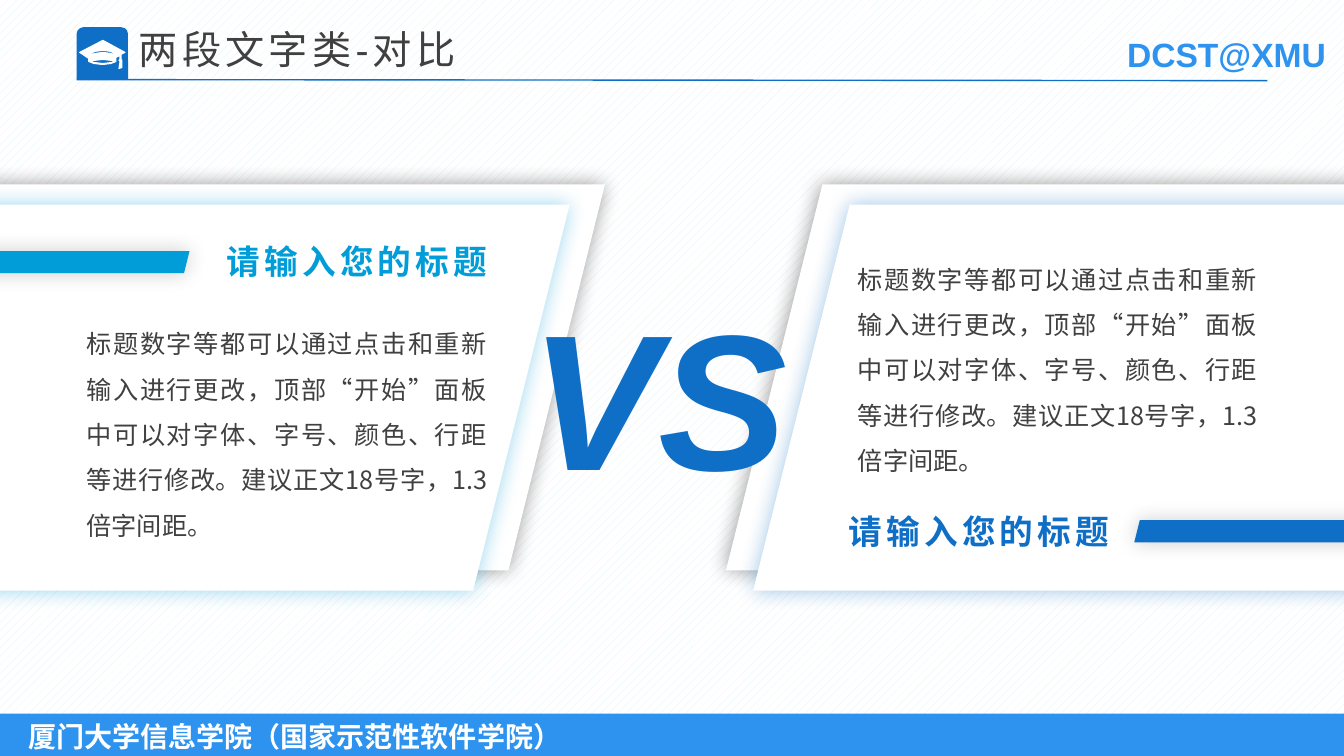
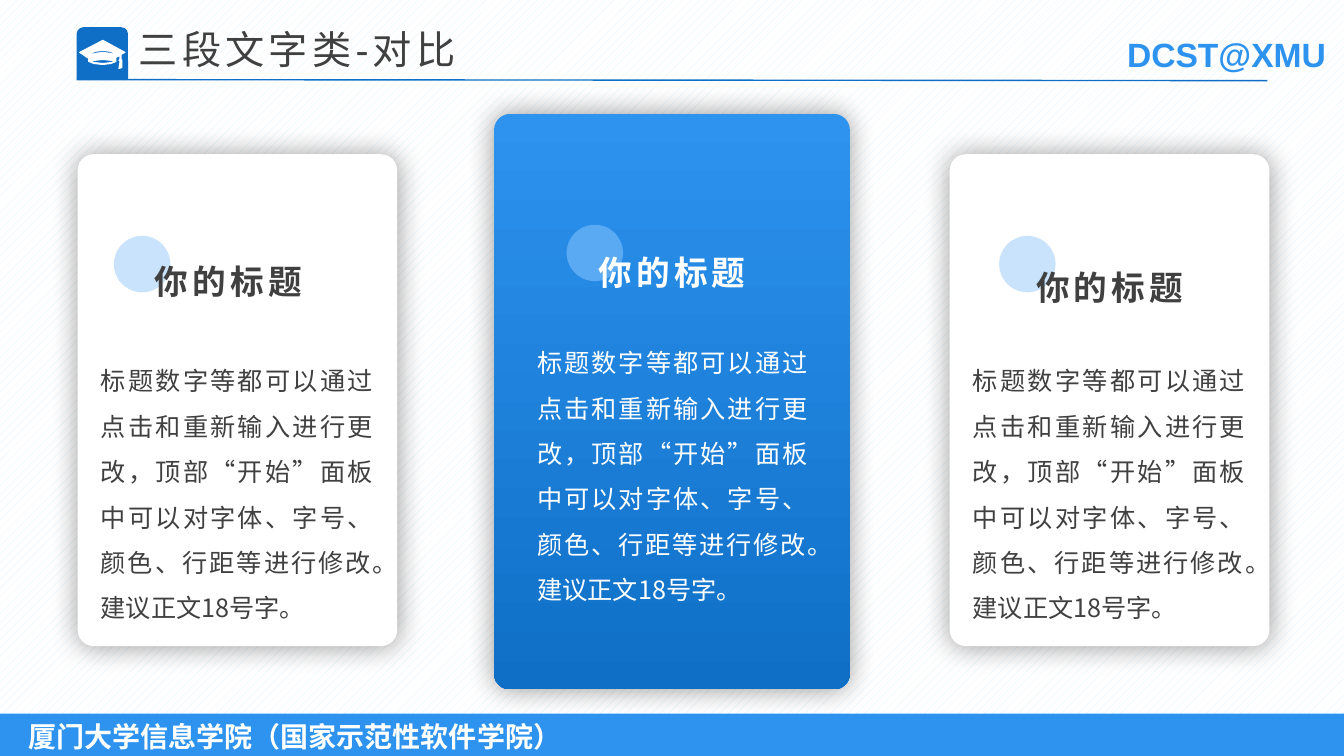
import pptx
import pptx.util
import pptx.dml.color
import pptx.enum.dml
import pptx.enum.lang
import pptx.enum.shapes
import pptx.enum.text
import pptx.oxml
import pptx.oxml.ns
from lxml import etree

RGB = pptx.dml.color.RGBColor
SHAPE = pptx.enum.shapes.MSO_SHAPE
ALIGN = pptx.enum.text.PP_ALIGN
ANCHOR = pptx.enum.text.MSO_ANCHOR
qn = pptx.oxml.ns.qn

PX = 9144  # 100 px to the inch
WIDTH, HEIGHT = 1333, 750
LATIN, CJK = "Arial", "Noto Sans CJK SC"

WHITE = RGB(0xFF, 0xFF, 0xFF)
BLACK = RGB(0x00, 0x00, 0x00)
INK = RGB(0x40, 0x40, 0x40)
BLUE = RGB(0x0F, 0x6F, 0xC6)
SKY = RGB(0x2D, 0x93, 0xEF)
CYAN = RGB(0x00, 0x9D, 0xD9)
HATCH = RGB(0xDB, 0xEF, 0xF9)
PALE_DISC = RGB(0xC8, 0xE3, 0xFB)
BRIGHT_DISC = RGB(0x59, 0xAA, 0xF2)

FOOTER = "厦门大学信息学院（国家示范性软件学院）"
SIGN = "DCST@XMU"
CAP = [
    [(120, 59), (120, 54), (124, 52), (102, 40), (79, 52), (88, 58), (88, 61),
     (93, 63), (102, 64), (110, 63), (115, 61), (115, 57), (119, 55), (119, 59),
     (118, 60), (120, 61), (121, 60)],
    [(102, 63), (93, 62), (90, 61), (93, 60), (102, 59), (111, 60), (114, 61),
     (111, 62)],
    [(115, 55), (110, 53), (102, 52), (94, 53), (88, 55), (88, 54), (94, 51),
     (102, 50), (110, 51), (115, 54)],
    [(119, 61), (118, 68), (121, 67), (121, 61)],
]

ADVICE = ("标题数字等都可以通过点击和重新输入进行更改，顶部“开始”面板中可以对"
          "字体、字号、颜色、行距等进行修改。建议正文18号字")
VERSUS_TITLE = "两段文字类-对比"
VERSUS_HEADING = "请输入您的标题"
VERSUS_BODY = ADVICE + "，1.3倍字间距。"
PANEL_SIZE = (837, 383)
BAR_SIZE = (388, 22)
SIDES = [
    {"color": CYAN, "back": (-237, 183), "front": (-272, 203), "bar": (-200, 249),
     "heading": (215, 234, 285, 50), "body": (76, 306, 417, 232)},
    {"color": BLUE, "back": (720, 183), "front": (747, 203), "bar": (1125, 516),
     "heading": (832, 502, 285, 50), "body": (841, 242, 416, 232)},
]

CARDS_TITLE = "三段文字类-对比"
CARD_HEADING = "你的标题"
CARD_BODY = ADVICE + "。"
CARD_CORNER = 16
DISC = 56
CARDS = [
    {"box": (77, 153, 317, 488), "paint": WHITE, "ink": INK,
     "disc": (113, 234), "disc_color": PALE_DISC,
     "heading": (117, 234, 219, 63), "body": (90, 343, 290, 277)},
    {"box": (490, 113, 353, 571), "paint": [SKY, BLUE], "ink": WHITE,
     "disc": (562, 223), "disc_color": BRIGHT_DISC,
     "heading": (557, 225, 219, 63), "body": (523, 325, 288, 277)},
    {"box": (942, 153, 317, 488), "paint": WHITE, "ink": INK,
     "disc": (991, 234), "disc_color": PALE_DISC,
     "heading": (991, 240, 219, 63), "body": (955, 343, 290, 277)},
]


def emu(lengths):
    return [length * PX for length in lengths]


def apply_paint(fill, paint):
    """Fill with one colour, or from top to bottom with a list of two colours."""
    if isinstance(paint, list):
        fill.gradient()
        fill.gradient_angle = 270
        for stop, color in zip(fill.gradient_stops, paint):
            stop.color.rgb = color
    else:
        fill.solid()
        fill.fore_color.rgb = paint


def add_glow(shape, color, opacity, blur):
    """Give the shape a centred soft shadow; opacity in percent, blur in points."""
    effects = shape._element.spPr.find(qn("a:effectLst"))
    shadow = etree.SubElement(effects, qn("a:outerShdw"), blurRad=str(blur * 12700),
                              dist="0", dir="0", algn="ctr", rotWithShape="0")
    tint = etree.SubElement(shadow, qn("a:srgbClr"), val=str(color))
    etree.SubElement(tint, qn("a:alpha"), val=str(opacity * 1000))


def add_block(slide, kind, box, paint, glow=None):
    shape = slide.shapes.add_shape(kind, *emu(box))
    shape.shadow.inherit = False
    shape.line.fill.background()
    apply_paint(shape.fill, paint)
    if glow:
        add_glow(shape, *glow)
    return shape


def write(frame, text, size, paint, font=LATIN, bold=False, italic=False, spacing=0,
          align=ALIGN.LEFT, line_spacing=None):
    para = frame.paragraphs[0]
    para.alignment = align
    para.line_spacing = line_spacing
    span = para.add_run()
    span.text = text
    span.font.size = pptx.util.Pt(size)
    span.font.bold = bold
    span.font.italic = italic
    span.font.language_id = pptx.enum.lang.MSO_LANGUAGE_ID.SIMPLIFIED_CHINESE
    apply_paint(span.font.fill, paint)
    span.font.name = font
    props = span._r.get_or_add_rPr()
    props.find(qn("a:latin")).addnext(
        props.makeelement(qn("a:ea"), {"typeface": CJK}))
    if spacing:
        props.set("spc", str(spacing * 100))


def add_text(slide, box, text, size, paint, wrap=True, **style):
    frame = slide.shapes.add_textbox(*emu(box)).text_frame
    frame.word_wrap = wrap
    frame.auto_size = pptx.enum.text.MSO_AUTO_SIZE.SHAPE_TO_FIT_TEXT
    write(frame, text, size, paint, **style)


def add_body(slide, box, text, color):
    add_text(slide, box, text, 18, color, font=CJK, align=ALIGN.JUSTIFY,
             line_spacing=1.5)


def add_cap(slide):
    builder = slide.shapes.build_freeform(*CAP[0][0], scale=PX)
    for index, contour in enumerate(CAP):
        if index:
            builder.move_to(*contour[0])
        builder.add_line_segments(contour[1:], close=True)
    cap = builder.convert_to_shape()
    cap.shadow.inherit = False
    apply_paint(cap.fill, WHITE)
    cap.line.color.rgb = WHITE
    cap.line.width = pptx.util.Pt(0.75)


def add_framed_slide(deck, title):
    """Add a slide with the hatched ground, footer, sign, badge, rule and title."""
    slide = deck.slides.add_slide(deck.slide_layouts[6])
    ground = add_block(slide, SHAPE.RECTANGLE, (0, 0, WIDTH, HEIGHT), WHITE)
    ground.fill.patterned()
    ground.fill.pattern = pptx.enum.dml.MSO_PATTERN.PERCENT_20
    ground.fill.fore_color.rgb = HATCH
    ground.fill.back_color.rgb = WHITE

    footer = add_block(slide, SHAPE.RECTANGLE, (0, 708, WIDTH, 44), SKY).text_frame
    footer.margin_left = 28 * PX
    footer.vertical_anchor = ANCHOR.MIDDLE
    write(footer, FOOTER, 20, WHITE, bold=True)

    add_text(slide, (1108, 29, 220, 50), SIGN, 24, [SKY, BLUE], wrap=False, bold=True)
    badge = add_block(slide, SHAPE.ROUND_2_SAME_RECTANGLE, (76, 27, 51, 52), BLUE)
    badge.adjustments[0] = 0.13
    add_cap(slide)

    rule = slide.shapes.add_connector(pptx.enum.shapes.MSO_CONNECTOR.STRAIGHT,
                                      *emu((76, 79, 1257, 80)))
    rule.line.color.rgb = BLUE
    rule.line.width = pptx.util.Pt(1)
    etree.SubElement(rule._element.spPr, qn("a:effectLst"))

    heading = slide.shapes.add_textbox(*emu((128, 25, 730, 100))).text_frame
    heading.word_wrap = True
    write(heading, title, 28, INK, spacing=3, line_spacing=0.9)
    return slide


def add_versus_slide(deck):
    slide = add_framed_slide(deck, VERSUS_TITLE)
    for side in SIDES:
        add_block(slide, SHAPE.PARALLELOGRAM, side["back"] + PANEL_SIZE, WHITE,
                  (BLACK, 40, 15))
    for side in SIDES:
        color = side["color"]
        add_block(slide, SHAPE.PARALLELOGRAM, side["front"] + PANEL_SIZE, WHITE,
                  (color, 40, 15))
        add_text(slide, side["heading"], VERSUS_HEADING, 24, color, wrap=False,
                 bold=True, spacing=3)
        add_body(slide, side["body"], VERSUS_BODY, INK)
        add_block(slide, SHAPE.PARALLELOGRAM, side["bar"] + BAR_SIZE, color,
                  (BLACK, 20, 15))
    add_text(slide, (516, 270, 278, 242), "VS", 138, [BLUE, SKY], wrap=False,
             bold=True, italic=True)


def add_cards_slide(deck):
    slide = add_framed_slide(deck, CARDS_TITLE)
    for card in CARDS:
        panel = add_block(slide, SHAPE.ROUNDED_RECTANGLE, card["box"], card["paint"],
                          (BLACK, 40, 20))
        panel.adjustments[0] = CARD_CORNER / card["box"][2]
        add_body(slide, card["body"], CARD_BODY, card["ink"])
        add_block(slide, SHAPE.OVAL, card["disc"] + (DISC, DISC), card["disc_color"])
        add_text(slide, card["heading"], CARD_HEADING, 24, card["ink"], bold=True,
                 spacing=3, align=ALIGN.CENTER, line_spacing=1.5)


def main():
    deck = pptx.Presentation()
    deck.slide_width, deck.slide_height = emu((WIDTH, HEIGHT))
    add_versus_slide(deck)
    add_cards_slide(deck)
    deck.save("out.pptx")


if __name__ == "__main__":
    main()
